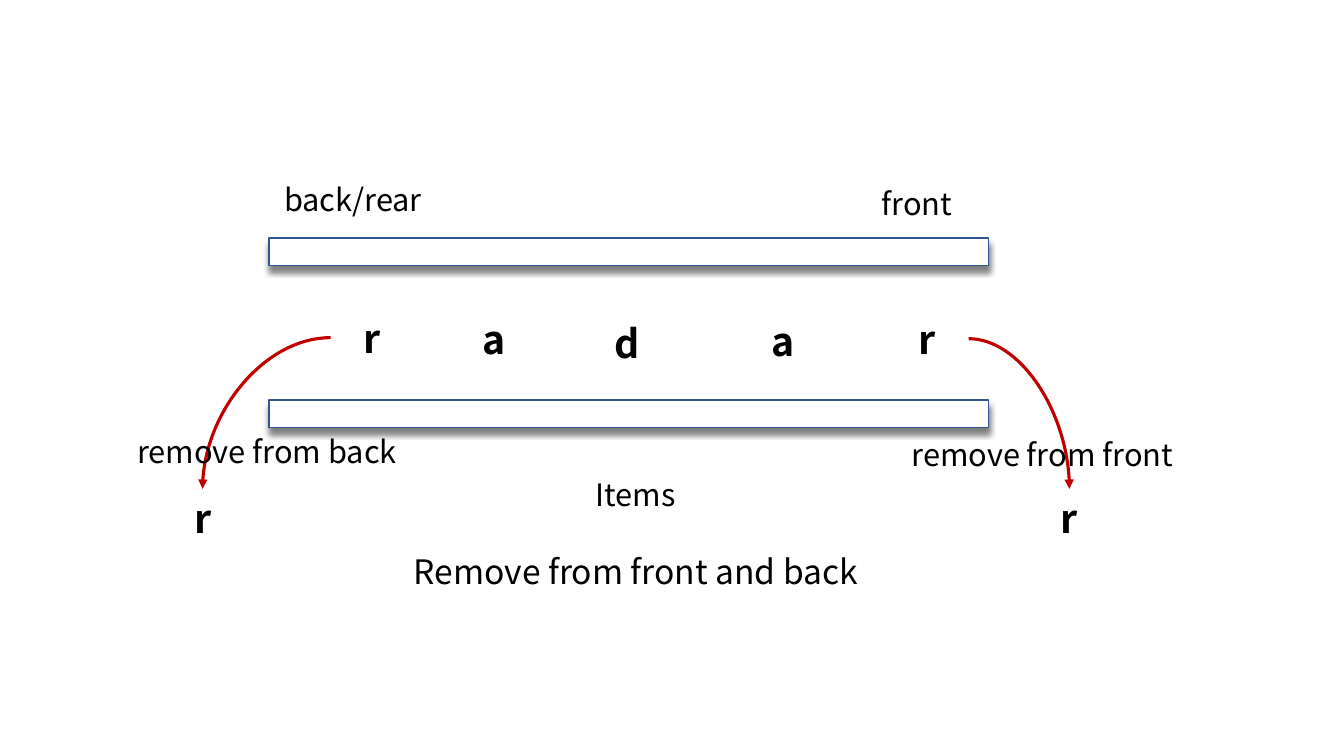
from lxml import etree
from pptx import Presentation
from pptx.dml.color import RGBColor
from pptx.enum.shapes import MSO_CONNECTOR, MSO_SHAPE
from pptx.enum.text import MSO_AUTO_SIZE, PP_ALIGN
from pptx.oxml import parse_xml
from pptx.oxml.ns import nsdecls, qn
from pptx.util import Pt

RECTANGLE = MSO_SHAPE.RECTANGLE
CURVE = MSO_CONNECTOR.CURVE
CENTER = PP_ALIGN.CENTER
FIT_TEXT = MSO_AUTO_SIZE.SHAPE_TO_FIT_TEXT

FONT = "Noto Sans CJK KR"
BLACK, WHITE, RAIL_BLUE, ARROW_RED = "000000", "FFFFFF", "325491", "C00000"
LABEL_SIZE, LETTER_SIZE, CAPTION_SIZE = 22, 28, 24
LABEL_HEIGHT, LETTER_HEIGHT, LETTER_WIDTH = 34, 41, 59
RAIL_HEIGHT = 19.5

SHADOW = (f'<a:effectLst {nsdecls("a")}>'
          '<a:outerShdw blurRad="50800" dist="50800" dir="5400000" rotWithShape="0">'
          '<a:srgbClr val="808080"/></a:outerShdw></a:effectLst>')


def color(hex_value):
    return RGBColor.from_string(hex_value)


def add_text(slide, words, box, size=LABEL_SIZE, bold=False):
    label = slide.shapes.add_textbox(*map(Pt, box))
    frame = label.text_frame
    frame.word_wrap = True
    frame.auto_size = FIT_TEXT
    frame.text = words
    paragraph = frame.paragraphs[0]
    paragraph.alignment = CENTER
    font = paragraph.runs[0].font
    font.name, font.size, font.bold = FONT, Pt(size), bold
    font.color.rgb = color(BLACK)


def add_letter(slide, letter, center, top):
    box = (center - LETTER_WIDTH / 2, top, LETTER_WIDTH, LETTER_HEIGHT)
    add_text(slide, letter, box, LETTER_SIZE, bold=True)


def add_rail(slide, box):
    rail = slide.shapes.add_shape(RECTANGLE, *map(Pt, box))
    rail.fill.solid()
    rail.fill.fore_color.rgb = color(WHITE)
    rail.line.color.rgb = color(RAIL_BLUE)
    rail.line.width = Pt(1)
    rail._element.spPr.append(parse_xml(SHADOW))


def add_curved_arrow(slide, start, end):
    arrow = slide.shapes.add_connector(CURVE, *map(Pt, (*start, *end)))
    arrow.line.color.rgb = color(ARROW_RED)
    arrow.line.width = Pt(2.25)
    properties = arrow._element.spPr
    properties.find(qn("a:prstGeom")).set("prst", "curvedConnector2")
    line = properties.find(qn("a:ln"))
    etree.SubElement(line, qn("a:tailEnd")).set("type", "triangle")
    etree.SubElement(properties, qn("a:effectLst"))


def draw_deque(slide, box):
    left, top, width, height = box
    # Rails above and below the items
    for rail_top in (top + 44.7, top + height - RAIL_HEIGHT):
        add_rail(slide, (left, rail_top, width, RAIL_HEIGHT))
    # Names of the two ends
    add_text(slide, "back/rear", (left, top, 120, LABEL_HEIGHT))
    add_text(slide, "front", (left + width - 111.4, top + 2.9, 120, LABEL_HEIGHT))
    # Items: letter, center and top inside the deque
    items = [("r", 73.5, 95.7), ("a", 160.6, 96.5), ("d", 256, 99.3),
             ("a", 367.2, 97.9), ("r", 470.2, 96.5)]
    for letter, center, letter_top in items:
        add_letter(slide, letter, left + center, top + letter_top)


def draw_removal(slide, box, caption, caption_box, toward_left):
    left, top, width, height = box
    right = left + width
    start_x, tip_x = (right, left) if toward_left else (left, right)
    tip_y = top + height
    # Arrow leading to the removed letter
    add_letter(slide, "r", tip_x, tip_y)
    add_curved_arrow(slide, (start_x, top), (tip_x, tip_y))
    # Caption across the arrow
    x, y, caption_width = caption_box
    add_text(slide, caption, (left + x, top + y, caption_width, LABEL_HEIGHT))


def draw_captions(slide, box):
    left, top, width, height = box
    add_text(slide, "Items", (left + 150.5, top, 80, LABEL_HEIGHT))
    add_text(slide, "Remove from front and back",
             (left, top + height - 36, width, 36), CAPTION_SIZE)


presentation = Presentation()
presentation.slide_width, presentation.slide_height = Pt(960), Pt(540)
slide = presentation.slides.add_slide(presentation.slide_layouts[6])

draw_deque(slide, (192.2, 125.3, 514.1, 180))
draw_removal(slide, (144.7, 241.2, 91.5, 108), "remove from back",
             (-66.2, 64.1, 224.6), toward_left=True)
draw_removal(slide, (691.9, 241.9, 72, 107.3), "remove from front",
             (-59.7, 65.5, 224.6), toward_left=False)
draw_captions(slide, (263.5, 336.2, 381.6, 90))

presentation.save("out.pptx")
